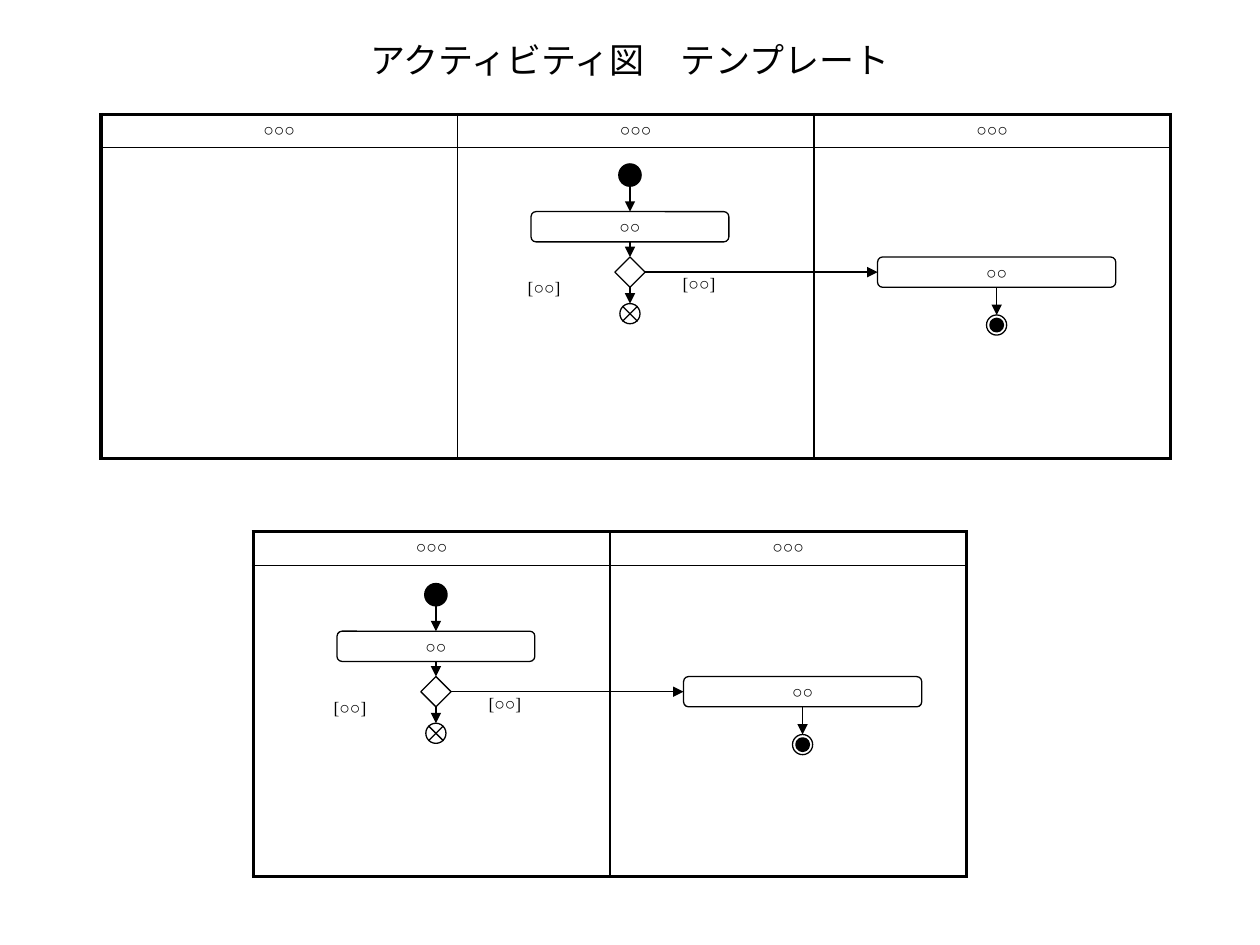
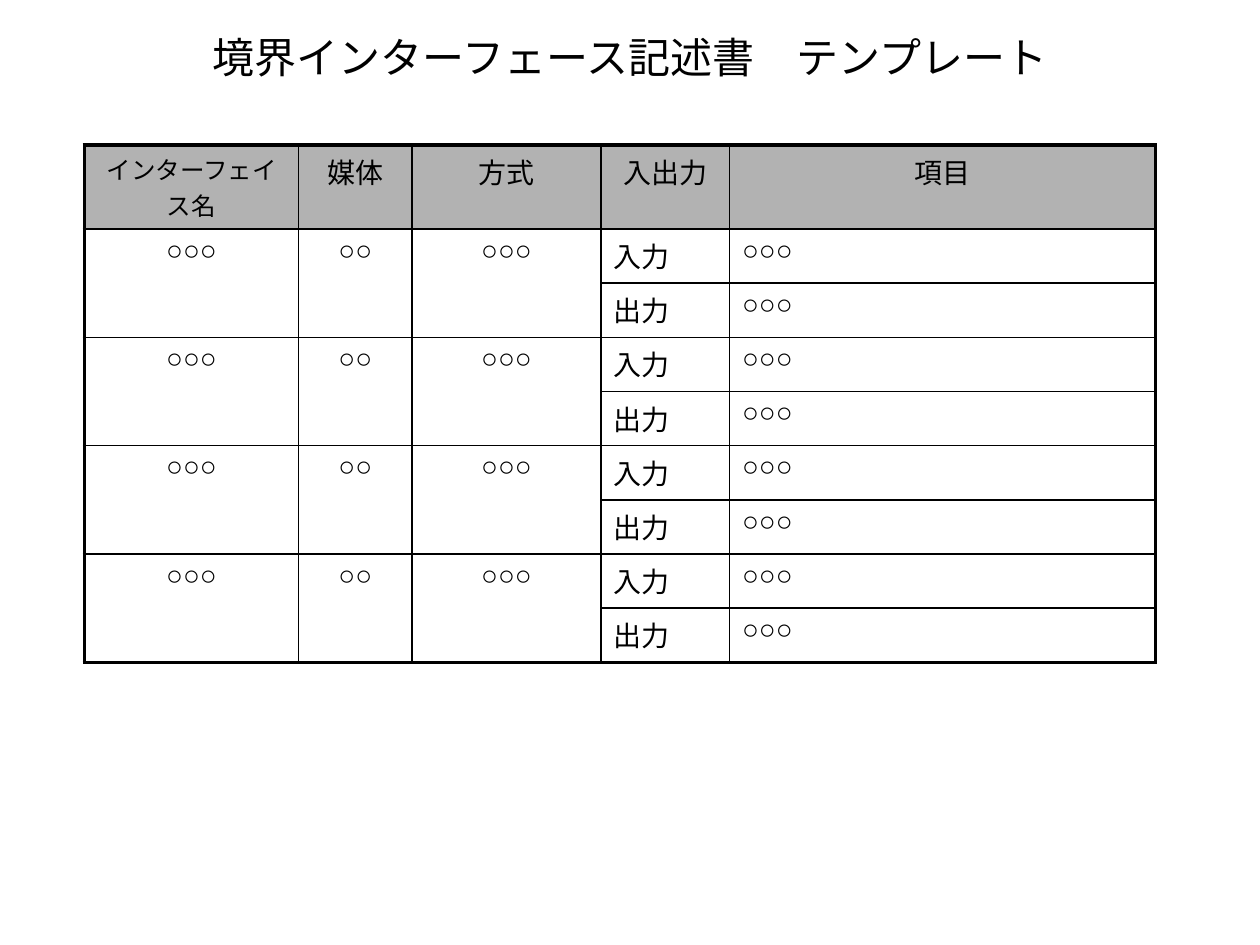
"""Build the activity diagram and boundary interface template slides."""
from lxml.etree import SubElement
from pptx import Presentation
from pptx.dml.color import RGBColor
from pptx.enum.lang import MSO_LANGUAGE_ID as Language
from pptx.enum.shapes import MSO_CONNECTOR as Connector, MSO_SHAPE as Shape
from pptx.enum.text import MSO_ANCHOR as Anchor, MSO_AUTO_SIZE as AutoSize, PP_ALIGN as Align
from pptx.oxml import parse_xml
from pptx.oxml.ns import nsdecls, qn
from pptx.util import Inches, Pt

BLACK = RGBColor(0x00, 0x00, 0x00)
WHITE = RGBColor(0xFF, 0xFF, 0xFF)
HEADER_GRAY = RGBColor(0xB2, 0xB2, 0xB2)
FONT = "Times New Roman"
THIN, THICK, LINE, DOT_LINE = 1, 2.25, 0.75, 2

ACTIVITY_TITLE = {"text": "アクティビティ図　テンプレート", "box": (0, 0.27, 10, 0.41), "size": 20}
INTERFACE_TITLE = {"text": "境界インターフェース記述書　テンプレート", "box": (0.75, 0.21, 8.5, 0.48), "size": 24}

LANE_NAME, ACTION_NAME, GUARD = "○○○", "○○", "[○○]"
LANE_WIDTH, LANE_ROWS = 2.83, (0.26, 2.47)
DIAGRAMS = [
    {"lanes": 3, "table_at": (0.8, 0.91), "flow_at": (5, 1.31)},
    {"lanes": 2, "table_at": (2.01, 4.22), "flow_at": (3.46, 4.64)},
]
NODE, DOT, ACTION_HEIGHT = 0.16, 0.09, 0.24
FIRST_WIDTH, SECOND_WIDTH = 1.57, 1.89
SECOND_CENTER = 2.91
GUARD_OFFSETS = [(-0.91, 0.84), (0.32, 0.81)]

INTERFACE_AT = (0.67, 1.15)
INTERFACE_COLUMNS = (1.7, 0.9, 1.5, 1.02, 3.38)
INTERFACE_HEADER = ["インターフェイス名", "媒体", "方式", "入出力", "項目"]
INTERFACES = [
    {"about": ["○○○", "○○", "○○○"], "items": [("入力", "○○○"), ("出力", "○○○")]}
] * 4
HEADER_HEIGHT, ITEM_HEIGHT = 0.47, 0.43


def write(text_frame, text, size, align=Align.LEFT):
    """Fill a text frame with one formatted paragraph."""
    paragraph = text_frame.paragraphs[0]
    paragraph.alignment = align
    run = paragraph.add_run()
    run.text = text
    formats = {"name": FONT, "size": Pt(size), "bold": False, "language_id": Language.JAPANESE}
    for name, value in formats.items():
        setattr(run.font, name, value)
    run.font.color.rgb = BLACK


def add_titled_slide(presentation, title):
    """Add a title-only slide and place its title."""
    slide = presentation.slides.add_slide(presentation.slide_layouts[5])
    placeholder = slide.shapes.title
    for name, value in zip(("left", "top", "width", "height"), title["box"]):
        setattr(placeholder, name, Inches(value))
    frame = placeholder.text_frame
    for name, value in {"word_wrap": True, "auto_size": AutoSize.NONE, "vertical_anchor": Anchor.MIDDLE}.items():
        setattr(frame, name, value)
    write(frame, title["text"], title["size"], Align.CENTER)
    return slide


def set_borders(cell, widths):
    """Draw the left, right, top and bottom borders of a cell."""
    properties = cell._tc.get_or_add_tcPr()
    for index, (side, width) in enumerate(zip("LRTB", widths)):
        properties.insert(index, parse_xml(
            f'<a:ln{side} {nsdecls("a")} w="{Pt(width)}"><a:solidFill>'
            f'<a:srgbClr val="{BLACK}"/></a:solidFill></a:ln{side}>'))


def add_grid(slide, at, columns, heights):
    """Add a table without header or banding styles."""
    size = sum(columns), sum(heights)
    frame = slide.shapes.add_table(len(heights), len(columns), *map(Inches, at + size))
    table = frame.table
    table.first_row = table.horz_banding = False
    for column, width in zip(table.columns, columns):
        column.width = Inches(width)
    for row, height in zip(table.rows, heights):
        row.height = Inches(height)
    return table


def frame_cells(table):
    """Give every cell its fill and borders."""
    rows, columns = len(table.rows), len(table.columns)
    for row in range(rows):
        for column in range(columns):
            cell = table.cell(row, column)
            cell.fill.background()
            bottom = row + (cell.span_height if cell.is_merge_origin else 1)
            outer = column == 0, column == columns - 1, row == 0, bottom == rows
            set_borders(cell, [THICK if edge else THIN for edge in outer])


def add_node(shapes, kind, center, top, width, height, fill=WHITE, line=LINE):
    """Add a shape centred on a vertical axis."""
    shape = shapes.add_shape(kind, *map(Inches, (center - width / 2, top, width, height)))
    shape.shadow.inherit = False
    shape.fill.solid()
    shape.fill.fore_color.rgb = fill
    shape.line.color.rgb = BLACK
    shape.line.width = Pt(line)
    return shape


def add_action(shapes, center, top, width):
    """Add a rounded action box with its name."""
    action = add_node(shapes, Shape.ROUNDED_RECTANGLE, center, top, width, ACTION_HEIGHT)
    action.text_frame.word_wrap = False
    action.text_frame.vertical_anchor = Anchor.MIDDLE
    write(action.text_frame, ACTION_NAME, 10, Align.CENTER)
    return action


def add_line(shapes, ends=(0, 0, 0, 0), arrow=False):
    """Add a plain black line, with an arrowhead if wanted."""
    connector = shapes.add_connector(Connector.STRAIGHT, *map(Inches, ends))
    connector.line.color.rgb = BLACK
    connector.line.width = Pt(LINE)
    properties = connector._element.spPr
    if arrow:
        SubElement(properties.find(qn("a:ln")), qn("a:tailEnd"), type="triangle")
    SubElement(properties, qn("a:effectLst"))
    return connector


def link(shapes, start, start_site, end, end_site):
    """Join two shapes with an arrow."""
    connector = add_line(shapes, arrow=True)
    connector.begin_connect(start, start_site)
    connector.end_connect(end, end_site)


def add_flow_final(slide, center, top):
    """Add a crossed circle and return its outline."""
    shapes = slide.shapes.add_group_shape().shapes
    ring = add_node(shapes, Shape.OVAL, center, top, NODE, NODE)
    reach, middle = 0.06, top + NODE / 2
    for direction in (1, -1):
        add_line(shapes, (center + reach, middle - direction * reach,
                          center - reach, middle + direction * reach))
    return ring


def add_activity_final(slide, center, top):
    """Add a ringed dot and return its outline."""
    shapes = slide.shapes.add_group_shape().shapes
    ring = add_node(shapes, Shape.OVAL, center, top, NODE, NODE)
    add_node(shapes, Shape.OVAL, center, top + (NODE - DOT) / 2, DOT, DOT, BLACK, DOT_LINE)
    return ring


def add_flow(slide, center, top):
    """Draw the activity flow from its start node."""
    shapes = slide.shapes
    add_node(shapes, Shape.OVAL, center, top, NODE, NODE, BLACK, DOT_LINE)
    first = add_action(shapes, center, top + 0.37, FIRST_WIDTH)
    decision = add_node(shapes, Shape.DIAMOND, center, top + 0.73, ACTION_HEIGHT, ACTION_HEIGHT)
    second = add_action(shapes, center + SECOND_CENTER, top + 0.73, SECOND_WIDTH)
    flow_final = add_flow_final(slide, center, top + 1.1)
    activity_final = add_activity_final(slide, center + SECOND_CENTER, top + 1.19)
    entry = add_line(shapes, (center, top + NODE, center, top + 0.37), arrow=True)
    entry.end_connect(first, 0)
    for ends in [(first, 2, decision, 0), (decision, 2, flow_final, 0),
                 (decision, 3, second, 1), (second, 2, activity_final, 0)]:
        link(shapes, *ends)
    for across, down in GUARD_OFFSETS:
        label = shapes.add_textbox(*map(Inches, (center + across, top + down, 0.87, 0.27)))
        label.text_frame.word_wrap = True
        write(label.text_frame, GUARD, 10)


def build_activity_slide(presentation):
    """Build the slide with two swimlane diagrams."""
    slide = add_titled_slide(presentation, ACTIVITY_TITLE)
    for diagram in DIAGRAMS:
        lanes = diagram["lanes"]
        table = add_grid(slide, diagram["table_at"], [LANE_WIDTH] * lanes, LANE_ROWS)
        frame_cells(table)
        for column in range(lanes):
            write(table.cell(0, column).text_frame, LANE_NAME, 10, Align.CENTER)
        add_flow(slide, *diagram["flow_at"])


def build_interface_slide(presentation):
    """Build the slide with the interface table."""
    slide = add_titled_slide(presentation, INTERFACE_TITLE)
    item_count = sum(len(interface["items"]) for interface in INTERFACES)
    heights = [HEADER_HEIGHT] + [ITEM_HEIGHT] * item_count
    table = add_grid(slide, INTERFACE_AT, INTERFACE_COLUMNS, heights)
    row = 1
    for interface in INTERFACES:
        about, items = interface["about"], interface["items"]
        for column, text in enumerate(about):
            table.cell(row, column).merge(table.cell(row + len(items) - 1, column))
            write(table.cell(row, column).text_frame, text, 16, Align.CENTER)
        for item in items:
            for column, text in enumerate(item, len(about)):
                write(table.cell(row, column).text_frame, text, 16)
            row += 1
    frame_cells(table)
    for column, text in enumerate(INTERFACE_HEADER):
        cell = table.cell(0, column)
        cell.fill.solid()
        cell.fill.fore_color.rgb = HEADER_GRAY
        write(cell.text_frame, text, 16 if column else 14, Align.CENTER)


def main():
    """Build and save the presentation."""
    presentation = Presentation()
    presentation.slide_width, presentation.slide_height = Inches(10), Inches(7.5)
    build_activity_slide(presentation)
    build_interface_slide(presentation)
    presentation.save("out.pptx")


if __name__ == "__main__":
    main()
